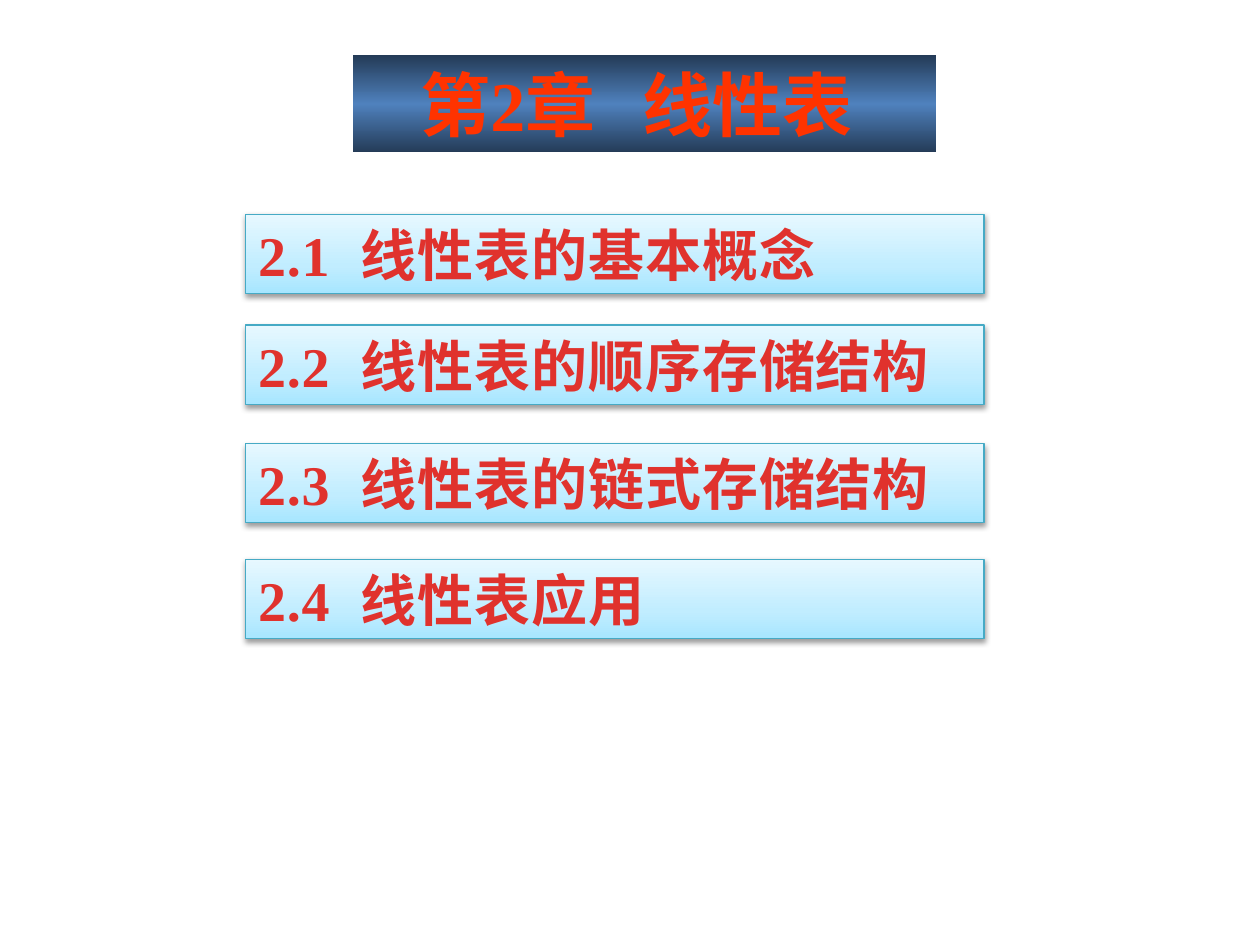
from copy import deepcopy

from lxml import etree
from pptx import Presentation, util as u
from pptx.dml.color import RGBColor
from pptx.enum import shapes, text
from pptx.oxml import ns


def color(hex_value):
    return RGBColor.from_string(hex_value)


def add_banner(left, top, width, height, stops, wording, size, font_color, align):
    """Add a rectangle with a vertical three-stop gradient, given from bottom to top."""
    shape = slide.shapes.add_shape(
        shapes.MSO_SHAPE.RECTANGLE,
        u.Inches(left), u.Inches(top), u.Inches(width), u.Inches(height))
    shape.shadow.inherit = False
    shape.line.fill.background()
    shape.fill.gradient()
    shape.fill.gradient_angle = 90
    stop_list = next(shape.element.spPr.iter(ns.qn("a:gsLst")))
    stop_list.append(deepcopy(stop_list[-1]))
    for stop, (position, hex_value) in zip(shape.fill.gradient_stops, stops):
        stop.position = position
        stop.color.rgb = color(hex_value)

    frame = shape.text_frame
    frame.word_wrap = True
    frame.auto_size = text.MSO_AUTO_SIZE.SHAPE_TO_FIT_TEXT
    paragraph = frame.paragraphs[0]
    paragraph.text = wording
    paragraph.alignment = align
    paragraph.font.name = "Times New Roman"
    paragraph.font.size = u.Pt(size)
    paragraph.font.bold = True
    paragraph.font.color.rgb = color(font_color)
    return shape


presentation = Presentation()
presentation.slide_width = u.Inches(10)
presentation.slide_height = u.Inches(7.5)
slide = presentation.slides.add_slide(presentation.slide_layouts[6])

title_stops = [(0, "243B57"), (0.5, "4F81BD"), (1, "243B57")]
add_banner(2.8, 0.44, 4.63, 0.77, title_stops, "第2章   线性表 ",
           40, "FF3300", text.PP_ALIGN.CENTER)

section_stops = [(0, "A7E6FF"), (0.35, "C1EDFF"), (1, "E7F8FF")]
sections = [
    (1.7, "2.1  线性表的基本概念"),
    (2.58, "2.2  线性表的顺序存储结构"),
    (3.52, "2.3  线性表的链式存储结构"),
    (4.44, "2.4  线性表应用"),
]
for top, wording in sections:
    section = add_banner(1.95, top, 5.86, 0.63, section_stops, wording,
                         32, "E0322D", text.PP_ALIGN.LEFT)
    section.line.color.rgb = color("46AAC5")
    section.line.width = u.Pt(0.75)

    # Letter spacing and the soft shadow below the box
    next(section.element.iter(ns.qn("a:defRPr"))).set("spc", "50")
    effects = section.element.spPr.find(ns.qn("a:effectLst"))
    shadow = etree.SubElement(effects, ns.qn("a:outerShdw"), blurRad="40000",
                              dist="20000", dir="5400000", rotWithShape="0")
    shadow_color = etree.SubElement(shadow, ns.qn("a:srgbClr"), val="000000")
    etree.SubElement(shadow_color, ns.qn("a:alpha"), val="38000")

presentation.save("out.pptx")
